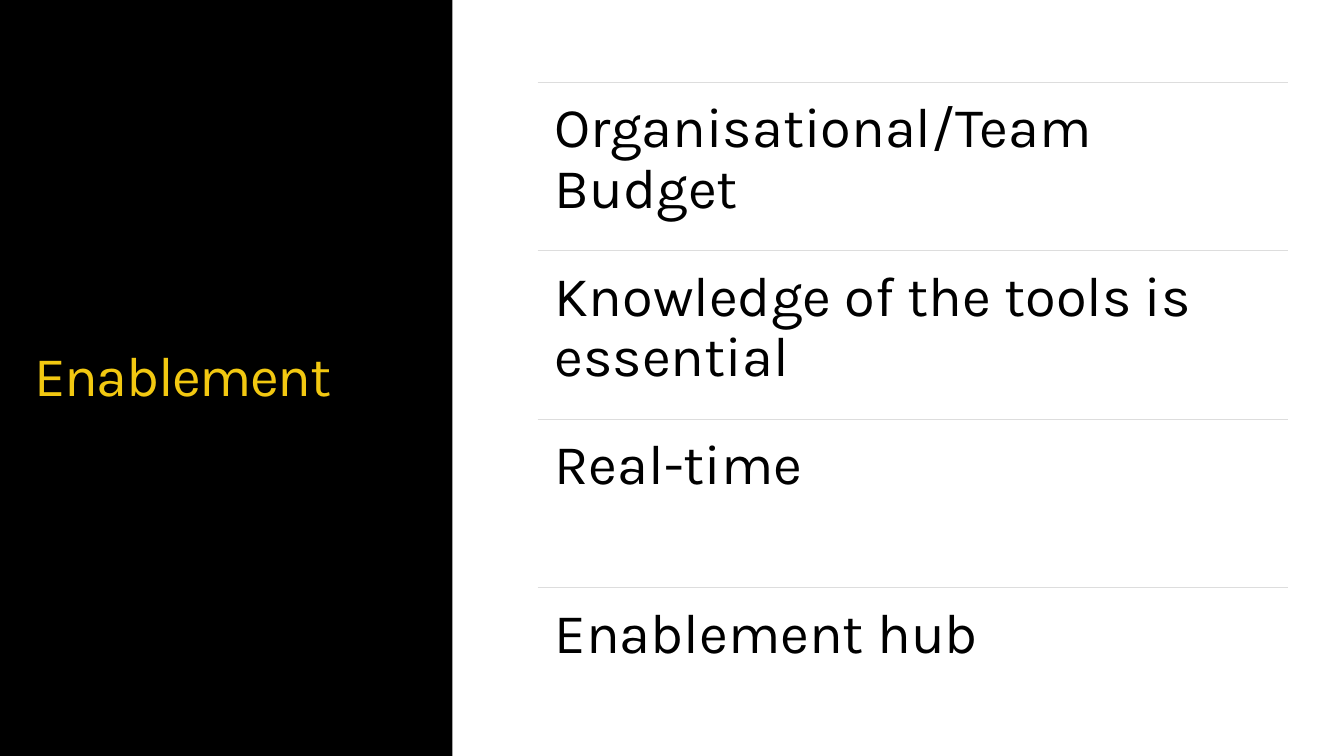
from lxml import etree
from pptx import Presentation
from pptx.dml.color import RGBColor
from pptx.enum import shapes, text
from pptx.oxml import ns
from pptx.util import Cm, Pt

TITLE = "Enablement"
TOPICS = [
    "Organisational/Team Budget",
    "Knowledge of the tools is essential",
    "Real-time",
    "Enablement hub",
]
COLOURS = {"panel": "000000", "title": "F2C811", "topic": "000000", "rule": "DDDDDD"}

SLIDE_WIDTH, SLIDE_HEIGHT = Cm(33.87), Cm(19.05)
PANEL_WIDTH = Cm(11.4)
LIST_LEFT, LIST_TOP, LIST_WIDTH = Cm(13.55), Cm(2.08), Cm(18.9)
TITLE_BOX = {"left": Cm(0.46), "top": Cm(6.25), "width": Cm(10.41), "height": Cm(6.55)}
TITLE_FRAME = {
    "margin_left": Cm(0.41), "margin_right": Cm(0.41),
    "margin_top": Cm(0.25), "margin_bottom": Cm(0.25),
    "vertical_anchor": text.MSO_ANCHOR.MIDDLE,
}
TOPIC_FRAME = {
    "margin_left": Cm(0.43), "margin_right": Cm(0.43),
    "margin_top": Cm(0.43), "margin_bottom": Cm(0.43),
    "vertical_anchor": text.MSO_ANCHOR.TOP,
}
PARAGRAPH = {"alignment": text.PP_ALIGN.LEFT, "line_spacing": 0.9, "space_before": Pt(0)}
FONT = {"name": "Karla", "size": Pt(40)}


def colour(name):
    return RGBColor.from_string(COLOURS[name])


def apply(target, values):
    for name, value in values.items():
        setattr(target, name, value)


def write(frame, words, frame_format, colour_name):
    """Fill a text frame with one formatted span and return the span."""
    apply(frame, {"word_wrap": True, "auto_size": text.MSO_AUTO_SIZE.NONE, **frame_format})
    para = frame.paragraphs[0]
    apply(para, PARAGRAPH)
    span = para.add_run()
    span.text = words
    apply(span.font, FONT)
    span.font.color.rgb = colour(colour_name)
    return span


def add_panel(page):
    panel = page.shapes.add_shape(
        shapes.MSO_SHAPE.RECTANGLE, 0, 0, PANEL_WIDTH, SLIDE_HEIGHT)
    panel.shadow.inherit = False
    panel.fill.solid()
    panel.fill.fore_color.rgb = colour("panel")
    panel.line.fill.background()
    page.shapes.title.element.addprevious(panel.element)


def add_title(page):
    title = page.shapes.title
    apply(title, TITLE_BOX)
    span = write(title.text_frame, TITLE, TITLE_FRAME, "title")
    span.font._element.set("spc", "-100")


def add_topics(page):
    """Stack the topics in equal rows, each under its own rule."""
    group = page.shapes.add_group_shape()
    row_height = (SLIDE_HEIGHT - LIST_TOP) // len(TOPICS)
    for index, topic in enumerate(TOPICS):
        top = LIST_TOP + index * row_height
        rule = group.shapes.add_connector(
            shapes.MSO_CONNECTOR.STRAIGHT, LIST_LEFT, top, LIST_LEFT + LIST_WIDTH, top)
        rule.line.color.rgb = colour("rule")
        rule.line.width = Pt(0.85)
        etree.SubElement(rule.element.spPr, ns.qn("a:effectLst"))
        box = group.shapes.add_textbox(LIST_LEFT, top, LIST_WIDTH, row_height)
        write(box.text_frame, topic, TOPIC_FRAME, "topic")


def main():
    deck = Presentation()
    deck.slide_width, deck.slide_height = SLIDE_WIDTH, SLIDE_HEIGHT
    page = deck.slides.add_slide(deck.slide_layouts.get_by_name("Title Only"))
    add_panel(page)
    add_title(page)
    add_topics(page)
    deck.save("out.pptx")


if __name__ == "__main__":
    main()
